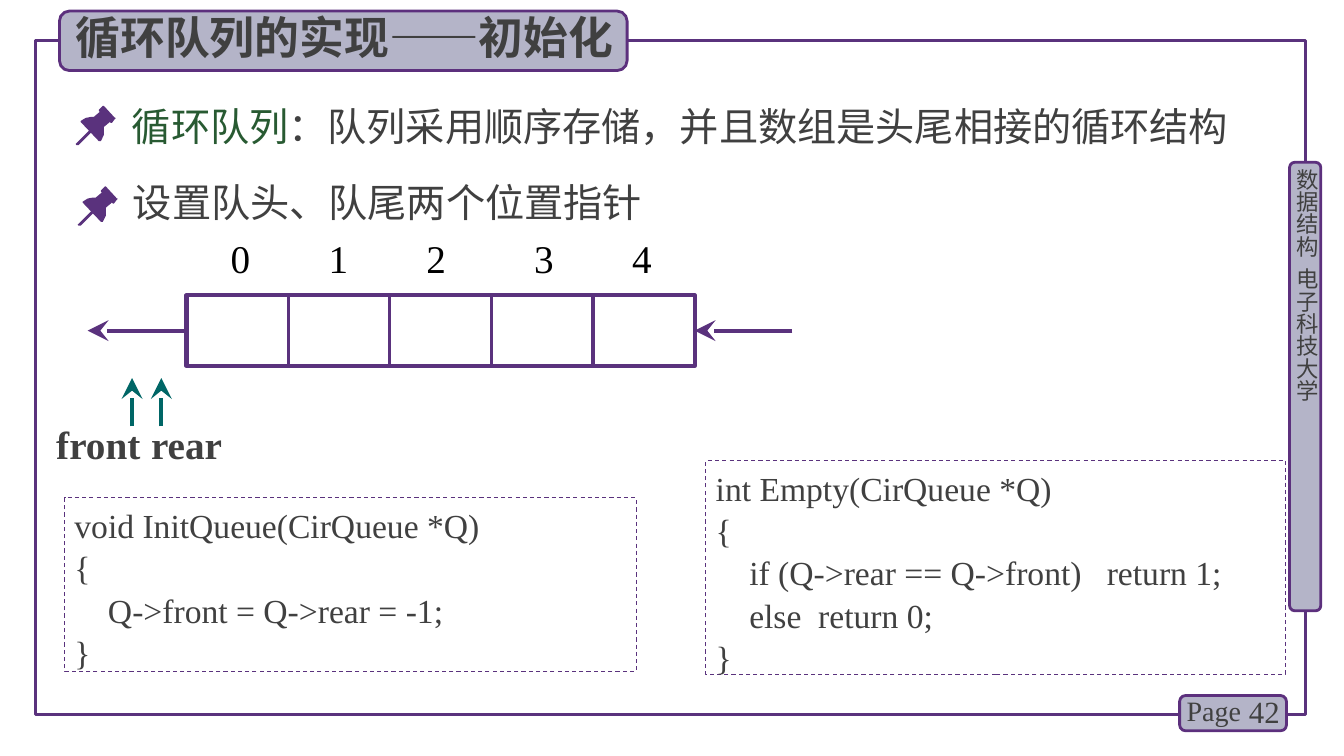
from lxml.etree import SubElement
from pptx import Presentation
from pptx.dml.color import RGBColor
from pptx.enum.dml import MSO_LINE
from pptx.enum.shapes import MSO_CONNECTOR, MSO_SHAPE
from pptx.enum.text import MSO_ANCHOR, PP_ALIGN
from pptx.oxml.ns import qn
from pptx.util import Inches, Pt

PURPLE = RGBColor(0x5A, 0x32, 0x7D)
TAB_LINE = RGBColor(0x5C, 0x30, 0x7D)
TAB_FILL = RGBColor(0xB4, 0xB4, 0xC8)
GREY = RGBColor(0x40, 0x40, 0x40)
BLACK = RGBColor(0, 0, 0)
GREEN = RGBColor(0x28, 0x5A, 0x32)
TEAL = RGBColor(0x00, 0x66, 0x66)
SERIF = "Times New Roman"
CJK = "Noto Sans CJK SC"

prs = Presentation()
prs.slide_width, prs.slide_height = Inches(13.33), Inches(7.5)
s = prs.slides.add_slide(prs.slide_layouts[6])


def add_text(x, y, w, h, runs, size, font=SERIF, bold=False):
    """Add a one-paragraph text box; runs is a list of (text, colour)."""
    tb = s.shapes.add_textbox(Inches(x), Inches(y), Inches(w), Inches(h))
    tf = tb.text_frame
    tf.word_wrap = True
    p = tf.paragraphs[0]
    p.font.size, p.font.bold = Pt(size), bold
    for text, color in runs:
        r = p.add_run()
        r.text = text
        r.font.color.rgb = color
        r.font.name = font
        if font == CJK:
            SubElement(r.font._element, qn("a:ea"), typeface=CJK)
    return tf


def add_line(x1, y1, x2, y2, color, width, arrow=False):
    line = s.shapes.add_connector(MSO_CONNECTOR.STRAIGHT, Inches(x1), Inches(y1),
                                  Inches(x2), Inches(y2))
    line.line.color.rgb = color
    line.line.width = Pt(width)
    if arrow:
        SubElement(line.line._get_or_add_ln(), qn("a:tailEnd"),
                   type="stealth", w="lg", len="lg")
    SubElement(line._element.spPr, qn("a:effectLst"))
    return line


# Frame, side tab, page tab, title tab, queue and the two code boxes
boxes = {}
for name, kind, x, y, w, h, width in [
    ("frame", MSO_SHAPE.RECTANGLE, 0.35, 0.4, 12.6, 6.69, 2.25),
    ("side", MSO_SHAPE.ROUNDED_RECTANGLE, 12.79, 1.61, 0.31, 4.45, 2),
    ("page", MSO_SHAPE.ROUNDED_RECTANGLE, 11.7, 6.9, 1.06, 0.35, 2),
    ("title", MSO_SHAPE.ROUNDED_RECTANGLE, 0.59, 0.11, 5.63, 0.59, 2),
    ("queue", MSO_SHAPE.RECTANGLE, 1.85, 2.93, 5.04, 0.7, 3),
    ("init", MSO_SHAPE.RECTANGLE, 0.64, 4.94, 5.67, 1.72, 0.75),
    ("empty", MSO_SHAPE.RECTANGLE, 7, 4.57, 5.75, 2.12, 0.75),
]:
    sp = s.shapes.add_shape(kind, Inches(x), Inches(y), Inches(w), Inches(h))
    sp.shadow.inherit = False
    sp.line.width = Pt(width)
    if kind == MSO_SHAPE.ROUNDED_RECTANGLE:
        sp.fill.solid()
        sp.fill.fore_color.rgb = TAB_FILL
        sp.line.color.rgb = TAB_LINE
    else:
        sp.fill.background()
        sp.line.color.rgb = PURPLE
    boxes[name] = sp

# Labels on the tabs
tf = add_text(12.83, 1.67, 0.27, 4.49, [("数据结构  电子科技大学", GREY)], 16, CJK)
tf.margin_left = tf.margin_right = tf.margin_top = tf.margin_bottom = 0
tf._txBody.bodyPr.set("vert", "eaVert")
tf = add_text(12.2, 6.86, 0.59, 0.4, [("42", GREY)], 22)
tf.vertical_anchor = MSO_ANCHOR.MIDDLE
tf.paragraphs[0].alignment = PP_ALIGN.RIGHT
add_text(11.67, 6.83, 0.78, 0.44, [("Page", GREY)], 20)
add_text(0.65, 0.05, 5.65, 0.64, [("循环队列的实现——初始化", GREY)], 32, CJK, bold=True)

# Statements, each with a pushpin; outlines in hundredths of an inch
PIN_PARTS = [
    [(114, 117), (103, 105), (102, 105), (98, 109), (98, 110), (99, 111), (93, 116),
     (90, 116), (85, 117), (80, 120), (80, 121), (98, 140), (100, 140), (103, 134),
     (103, 126), (109, 121), (110, 122), (111, 122), (114, 118), (115, 117)],
    [(77, 144), (76, 144), (75, 143), (76, 142), (89, 129), (90, 128), (91, 129),
     (91, 131), (78, 144)],
]
for x, y, w, runs, dx, dy in [
    (1.21, 0.97, 11.37, [("循环队列", GREEN),
                         ("：队列采用顺序存储，并且数组是头尾相接的循环结构", GREY)], 0, 0),
    (1.22, 1.72, 5.56, [("设置队头、队尾两个位置指针", GREY)], 2, 80),
]:
    add_text(x, y, w, 0.57, runs, 28, CJK)
    for part in PIN_PARTS:
        points = [(px + dx, py + dy) for px, py in part]
        builder = s.shapes.build_freeform(*points[0], scale=Inches(0.01))
        builder.add_line_segments(points[1:], close=True)
        pin = builder.convert_to_shape()
        pin.shadow.inherit = False
        pin.fill.solid()
        pin.fill.fore_color.rgb = PURPLE
        pin.line.fill.background()

# Queue cells with indices, and arrows out of and into the queue
tf = add_text(2.19, 2.28, 4.65, 0.57, [("0\t1\t2\t3\t4", BLACK)], 28)
tabs = SubElement(tf.paragraphs[0]._p.get_or_add_pPr(), qn("a:tabLst"))
tabs_before = tabs.getparent()
tabs_before.insert(0, tabs)
for stop in (0.97, 1.94, 3.01, 3.98):
    SubElement(tabs, qn("a:tab"), pos=str(Inches(stop)), algn="l")
for i in range(1, 5):
    x = 1.85 + i * 5.04 / 5
    add_line(x, 2.93, x, 3.63, PURPLE, 2.25)
dequeue = add_line(1.85, 3.28, 0.87, 3.28, PURPLE, 3, arrow=True)
dequeue.begin_connect(boxes["queue"], 1)
enqueue = add_line(7.86, 3.28, 6.89, 3.28, PURPLE, 3, arrow=True)
enqueue.end_connect(boxes["queue"], 3)

# Front and rear pointers
for name, arrow_x, label_x in [("rear", 1.6, 1.4), ("front", 1.31, 0.46)]:
    add_line(arrow_x, 4.23, arrow_x, 3.75, TEAL, 3, arrow=True)
    add_text(label_x, 4.12, 1.13, 0.5, [(name, GREY)], 28, bold=True)

# Code
CODE = {
    "init": ["void InitQueue(CirQueue *Q)", "{", "    Q->front = Q->rear = -1;", "}"],
    "empty": ["int Empty(CirQueue *Q)", "{", "    if (Q->rear == Q->front)   return 1;",
              "    else  return 0;", "}"],
}
for name, lines in CODE.items():
    boxes[name].line.dash_style = MSO_LINE.DASH
    tf = boxes[name].text_frame
    tf.word_wrap = True
    tf.vertical_anchor = MSO_ANCHOR.TOP
    for i, text in enumerate(lines):
        p = tf.paragraphs[0] if i == 0 else tf.add_paragraph()
        p.text = text
        p.alignment = PP_ALIGN.LEFT
        p.line_spacing = 1.05
        p.font.name, p.font.size = SERIF, Pt(24)
        p.font.color.rgb = GREY

prs.save("out.pptx")
